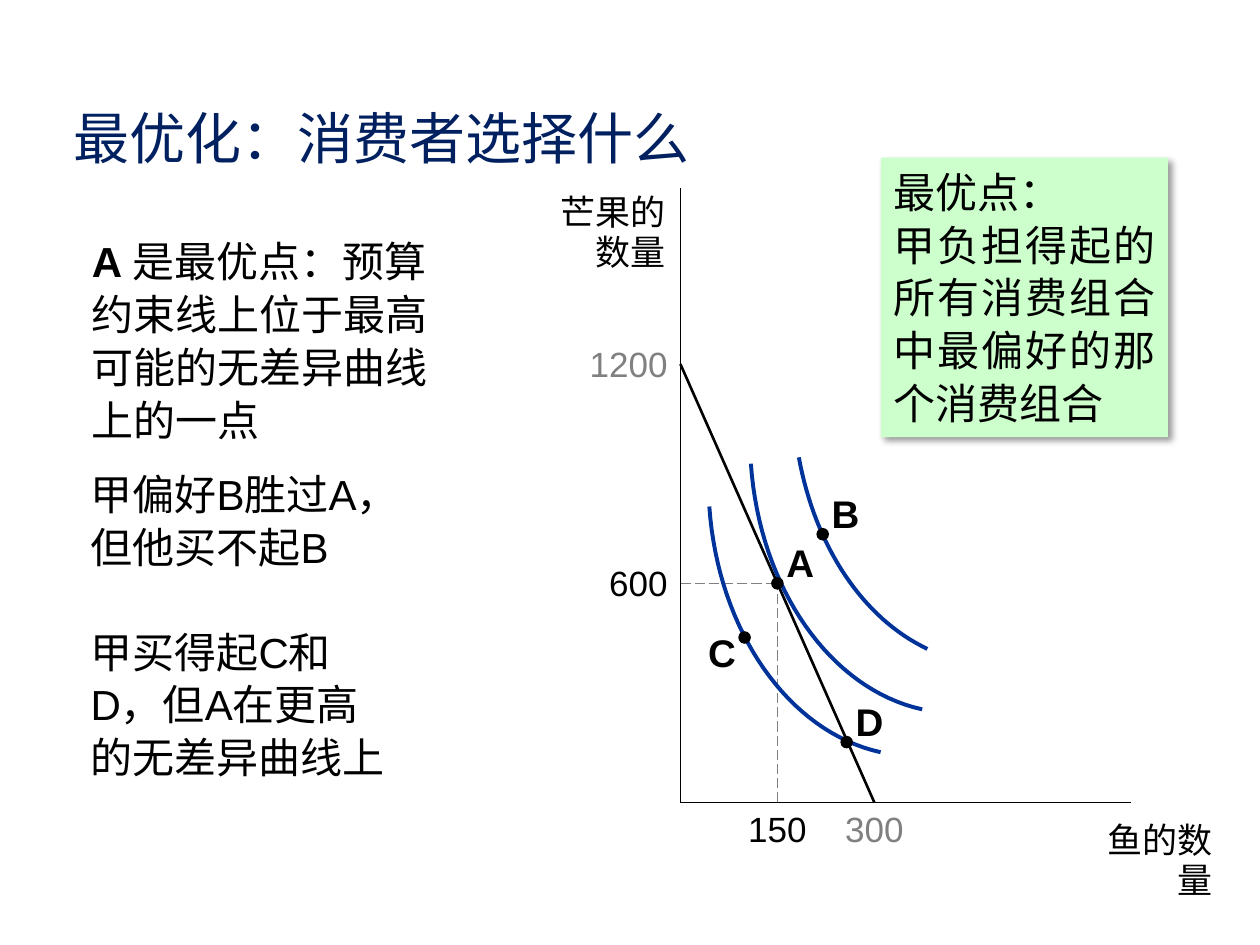
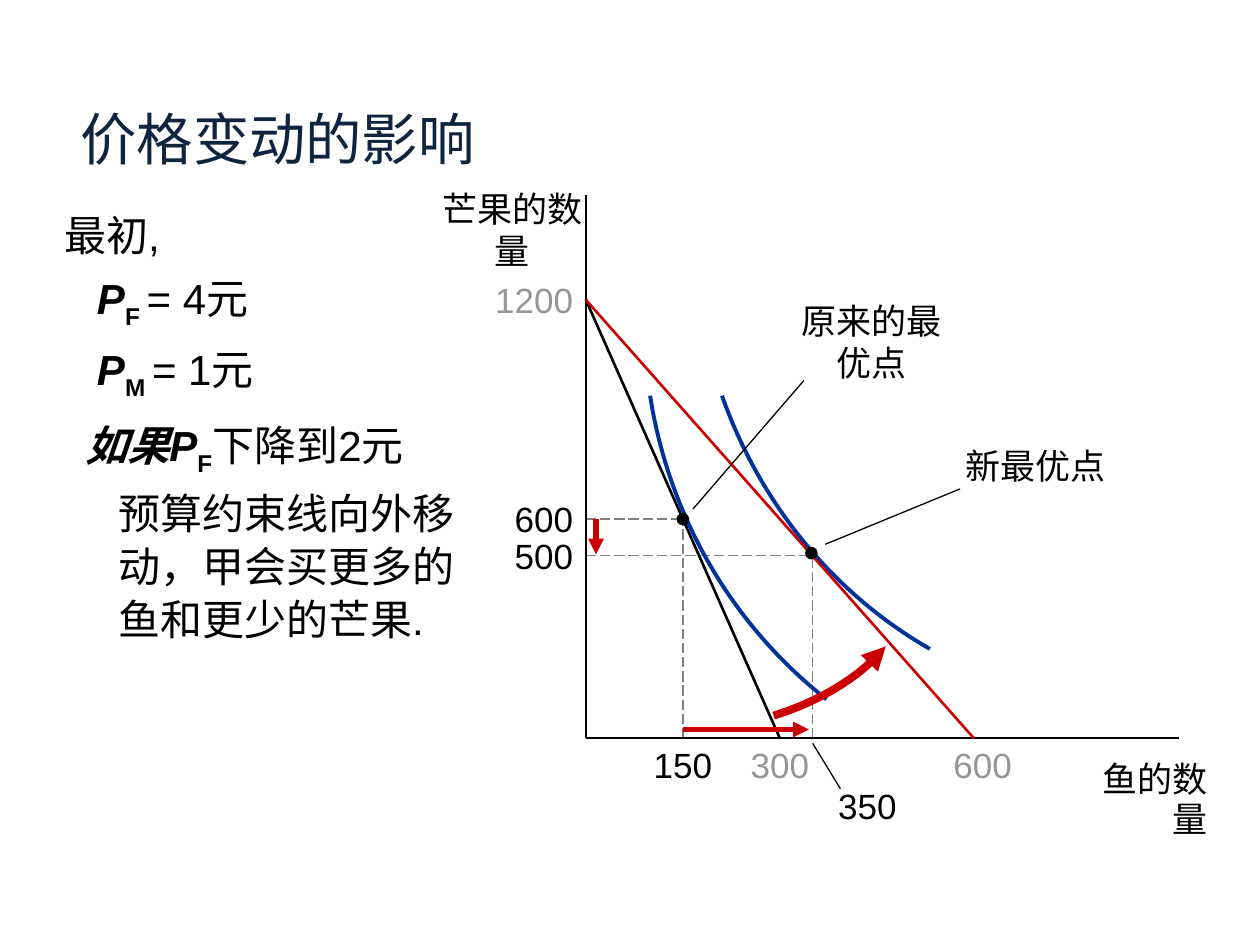
import pptx
import pptx.util
import pptx.dml.color
import pptx.enum.dml
import pptx.enum.shapes
import pptx.enum.text
import pptx.oxml.ns
import lxml.etree

Inches = pptx.util.Inches
Pt = pptx.util.Pt
Align = pptx.enum.text.PP_ALIGN
Anchor = pptx.enum.text.MSO_ANCHOR
Shape = pptx.enum.shapes.MSO_SHAPE
qn = pptx.oxml.ns.qn

BLACK, GREY, PALE = "000000", "808080", "969696"
BLUE, RED, GREEN = "003399", "CC0000", "CCFFCC"
UNIT_X, UNIT_Y = 0.77 / 150, 0.29 / 100
HEAVY = {"bold": True}
SLANT = {"bold": True, "italic": True}
SUB = {"bold": True, "base": -25}


def rgb(code):
    return pptx.dml.color.RGBColor.from_string(code)


def put(thing, vals):
    for name, val in vals.items():
        setattr(thing, name, val)


def add(node, tag, **vals):
    return lxml.etree.SubElement(node, qn(tag), {k: str(v) for k, v in vals.items()})


class Deck:
    def __init__(self):
        self.show = pptx.Presentation()
        put(self.show, {"slide_width": Inches(10), "slide_height": Inches(7.5)})
        self.font = "Arial"

    def page(self, left, base):
        self.slide = self.show.slides.add_slide(self.show.slide_layouts[1])
        self.shapes = self.slide.shapes
        self.left, self.base = left, base

    def spot(self, fish, mango):
        return self.left + fish * UNIT_X, self.base - mango * UNIT_Y

    def place(self, shape, box):
        put(shape, dict(zip(("left", "top", "width", "height"), map(Inches, box))))

    def pour(self, shape, paras, size=24, color=BLACK, align=Align.LEFT,
             space=1.05, pad=True, anchor=Anchor.TOP, font=None):
        frame = shape.text_frame
        put(frame, {"word_wrap": True, "vertical_anchor": anchor,
                    "auto_size": pptx.enum.text.MSO_AUTO_SIZE.NONE})
        if not pad:
            put(frame, {"margin_" + side: 0 for side in ("left", "right", "top", "bottom")})
        for num, (runs, level, gap) in enumerate(paras):
            para = frame.add_paragraph() if num else frame.paragraphs[0]
            put(para, {"alignment": align, "line_spacing": space,
                       "space_before": Pt(gap), "level": level})
            props = para._p.get_or_add_pPr()
            props.set("marL", str(Inches(0.26 * level)))
            props.set("indent", "0")
            add(props, "a:buNone")
            for words, vals in runs:
                run = para.add_run()
                run.text = words
                look = {"name": font or self.font, "size": Pt(size), **vals}
                shift = look.pop("base", 0)
                put(run.font, look)
                run.font.color.rgb = rgb(color)
                if shift:
                    run._r.get_or_add_rPr().set("baseline", str(shift * 1000))

    def title(self, words, box, size, color, anchor):
        shape = self.shapes.title
        self.place(shape, box)
        self.pour(shape, [([(words, {})], 0, 0)], size=size, color=color,
                  space=1.0, anchor=anchor, font="Karla")

    def body(self, box, paras):
        shape = self.slide.placeholders[1]
        self.place(shape, box)
        self.pour(shape, paras)

    def text(self, box, paras, **vals):
        if isinstance(paras, str):
            paras = [([(paras, {})], 0, 0)]
        self.pour(self.shapes.add_textbox(*map(Inches, box)), paras, **vals)

    def label(self, box, words, color=BLACK, align=Align.CENTER):
        self.text(box, words, size=20, color=color, align=align, space=1.0, pad=False)

    def name(self, x, y, words):
        self.text((x, y, 1.04, 0.74), words, size=20, align=Align.RIGHT, space=0.95)

    def tick_x(self, fish, color=BLACK, shift=0):
        x, y = self.spot(fish, 0)
        self.label((x - 0.35 + shift, y + 0.04, 0.7, 0.33), str(fish), color)

    def tick_y(self, mango, color=BLACK):
        x, y = self.spot(0, mango)
        self.label((x - 0.8, y - 0.17, 0.7, 0.33), str(mango), color, Align.RIGHT)

    def stroke(self, shape, color, width, dash=False, arrow=False):
        shape.line.color.rgb = rgb(color)
        shape.line.width = Pt(width)
        if dash:
            shape.line.dash_style = pptx.enum.dml.MSO_LINE.LONG_DASH
        if arrow:
            add(shape._element.spPr.find(qn("a:ln")), "a:tailEnd", type="triangle")

    def line(self, start, end, color=BLACK, width=0.75, **vals):
        kind = pptx.enum.shapes.MSO_CONNECTOR.STRAIGHT
        shape = self.shapes.add_connector(kind, *map(Inches, start + end))
        self.stroke(shape, color, width, **vals)
        add(shape._element.spPr, "a:effectLst")

    def axes(self, top, right):
        start = (self.left, self.base)
        self.line(start, (self.left, top), width=1)
        self.line(start, (right, self.base), width=1)

    def budget(self, fish, color=BLACK):
        self.line(self.spot(0, 1200), self.spot(fish, 0), color, 1.5)

    def guide(self, fish, mango):
        point = self.spot(fish, mango)
        for end in (self.spot(0, mango), self.spot(fish, 0)):
            self.line(end, point, GREY, dash=True)

    def curve(self, knots, color=BLUE, width=2.25, steps=32, **vals):
        points = []
        for step in range(steps + 1):
            t = step / steps
            parts = ((1 - t) ** 3, 3 * t * (1 - t) ** 2, 3 * t * t * (1 - t), t ** 3)
            points.append(tuple(Inches(sum(p * k[axis] for p, k in zip(parts, knots)))
                                for axis in (0, 1)))
        trace = self.shapes.build_freeform(*points[0])
        trace.add_line_segments(points[1:], close=False)
        shape = trace.convert_to_shape()
        shape.fill.background()
        shape.shadow.inherit = False
        self.stroke(shape, color, width, **vals)

    def fill(self, kind, box, color):
        shape = self.shapes.add_shape(kind, *map(Inches, box))
        shape.fill.solid()
        shape.fill.fore_color.rgb = rgb(color)
        shape.line.fill.background()
        shape.shadow.inherit = False
        return shape

    def dot(self, x, y):
        self.fill(Shape.OVAL, (x - 0.05, y - 0.05, 0.1, 0.1), BLACK)

    def mark(self, words, x, y, dx=0.07, dy=-0.35):
        self.dot(x, y)
        self.text((x + dx, y + dy, 0.32, 0.37), [([(words, HEAVY)], 0, 0)],
                  size=22, space=1.0, pad=False)

    def note(self, box, paras):
        shape = self.fill(Shape.RECTANGLE, box, GREEN)
        glow = add(shape._element.spPr.find(qn("a:effectLst")), "a:outerShdw",
                   blurRad=Pt(4), dist=Pt(3), dir=45 * 60000, algn="tl", rotWithShape=0)
        add(add(glow, "a:srgbClr", val=BLACK), "a:alpha", val=40000)
        self.pour(shape, paras, align=Align.JUSTIFY)


def choice(deck):
    deck.page(5.4, 6.37)
    deck.title("最优化：消费者选择什么", (0.48, 0.77, 8.33, 0.6), 32, "002060", Anchor.TOP)
    deck.body((0.63, 1.8, 3.08, 1.8), [
        ([("A ", HEAVY), ("是最优点：预算约束线上位于最高可能的无差异曲线上的一点", {})], 0, 0)])
    deck.text((0.62, 3.65, 2.91, 0.94), "甲偏好B胜过A，但他买不起B")
    deck.text((0.62, 4.9, 2.65, 1.37), "甲买得起C和D，但A在更高的无差异曲线上")

    deck.budget(300)
    deck.guide(150, 600)
    deck.axes(1.49, 8.98)
    for knots in (
        ((7.32, 5.63), (6.59, 5.47), (6.03, 4.67), (5.96, 3.68)),
        ((6.99, 5.97), (6.26, 5.81), (5.7, 5.01), (5.63, 4.02)),
        ((7.36, 5.15), (6.85, 4.91), (6.47, 4.34), (6.34, 3.63)),
    ):
        deck.curve(knots)
    deck.tick_y(1200, GREY)
    deck.tick_y(600)
    deck.tick_x(150)
    deck.tick_x(300, GREY)
    deck.mark("A", 6.17, 4.63)
    deck.mark("B", 6.53, 4.24)
    deck.mark("C", 5.91, 5.06, -0.29, -0.07)
    deck.mark("D", 6.72, 5.89)
    deck.note((6.99, 1.25, 2.28, 2.22), [
        ([(words, {})], 0, 0)
        for words in ("最优点：", "甲负担得起的所有消费组合中最偏好的那个消费组合")])
    deck.name(4.34, 1.49, "芒果的数量")
    deck.name(8.68, 6.47, "鱼的数量")


def change(deck):
    deck.page(4.65, 5.86)
    deck.title("价格变动的影响", (0.54, 0.37, 8.98, 1.04), 32.2, "0F243E", Anchor.BOTTOM)
    deck.body((0.41, 1.59, 3.42, 1.56), [([("最初,", {})], 0, 0)] + [
        ([("P", SLANT), (good + " ", SUB), (f"= {price}元", {})], 1, 6)
        for good, price in (("F", 4), ("M", 1))])
    deck.text((0.58, 3.26, 3.42, 1.88), [
        ([("如果P", SLANT), ("F", SUB), ("下降到2元", {})], 0, 0),
        ([("预算约束线向外移动，甲会买更多的鱼和更少的芒果.", {})], 1, 4.8)])

    deck.guide(350, 500)
    deck.guide(150, 600)
    deck.budget(300)
    deck.axes(1.55, 9.36)
    deck.curve(((7.38, 5.15), (6.61, 4.71), (6.03, 3.99), (5.73, 3.14)))
    deck.curve(((6.56, 5.55), (5.81, 4.96), (5.31, 4.1), (5.16, 3.14)))
    deck.budget(600, RED)
    deck.dot(5.42, 4.12)
    deck.dot(6.44, 4.39)

    deck.tick_y(1200, PALE)
    deck.tick_y(600)
    deck.tick_y(500)
    deck.tick_x(150)
    deck.tick_x(300, PALE)
    deck.tick_x(600, PALE, 0.07)
    deck.label((6.58, 6.23, 0.61, 0.33), "350")
    deck.label((6.24, 2.38, 1.36, 0.67), "原来的最优点")
    deck.label((7.54, 3.53, 1.36, 0.34), "新最优点")
    for start, end in (
        ((6.45, 5.9), (6.67, 6.26)),
        ((5.5, 4.04), (6.38, 3.02)),
        ((6.55, 4.32), (7.62, 3.88)),
    ):
        deck.line(start, end)
    deck.curve(((6.14, 5.68), (6.52, 5.56), (6.83, 5.37), (7.03, 5.13)), RED, 4.5, arrow=True)
    deck.line((4.73, 4.12), (4.73, 4.4), RED, 3, arrow=True)
    deck.line((5.42, 5.79), (6.42, 5.79), RED, 3, arrow=True)
    deck.name(8.64, 5.99, "鱼的数量")
    deck.label((3.48, 1.49, 1.17, 0.67), "芒果的数量")


def main():
    deck = Deck()
    choice(deck)
    change(deck)
    deck.show.save("out.pptx")


if __name__ == "__main__":
    main()
